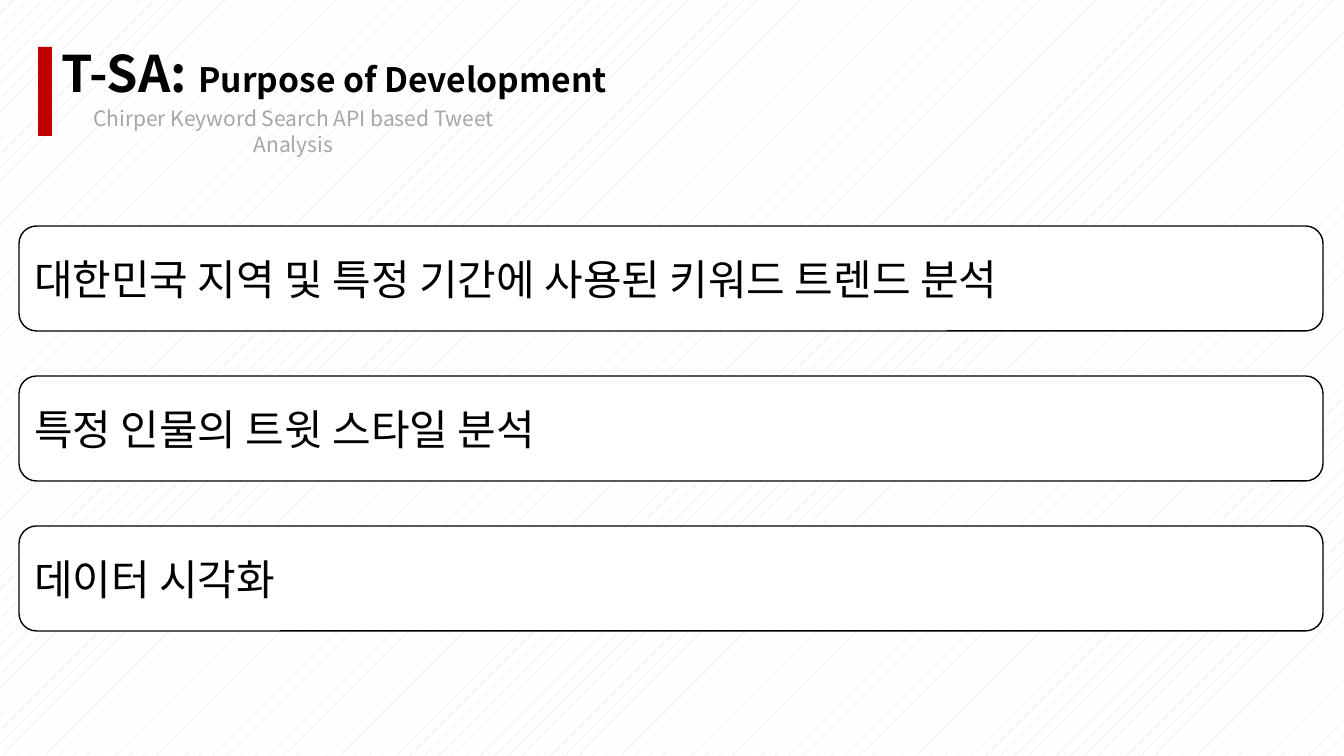
from lxml.etree import SubElement
from pptx import Presentation
from pptx.dml.color import RGBColor
from pptx.enum.dml import MSO_PATTERN as Pattern
from pptx.enum.shapes import MSO_SHAPE as Shape
from pptx.enum.text import MSO_ANCHOR as Anchor, PP_ALIGN as Align
from pptx.oxml.ns import qn
from pptx.util import Pt

EMU_PER_PX = 12192000 / 1344


def px(*lengths):
    return [round(length * EMU_PER_PX) for length in lengths]


class PurposeSlide:
    font = "Noto Sans CJK KR"
    colours = {
        "ink": "000000",
        "paper": "FFFFFF",
        "hatch": "E3D9D7",
        "accent": "C00000",
        "muted": "A6A6A6",
    }

    def __init__(self, deck):
        self.page = deck.slides.add_slide(deck.slide_layouts[6])

    def colour(self, name):
        return RGBColor.from_string(self.colours[name])

    def background(self):
        fill = self.page.background.fill
        fill.patterned()
        fill.pattern = Pattern.PERCENT_5
        fill.fore_color.rgb = self.colour("hatch")
        fill.back_color.rgb = self.colour("paper")

    def add_span(self, para, text, size, colour="ink", bold=False):
        span = para.add_run()
        span.text = text
        formats = {"name": self.font, "size": Pt(size), "bold": bold}
        for name, value in formats.items():
            setattr(span.font, name, value)
        span.font.color.rgb = self.colour(colour)
        properties = span.font._element
        SubElement(properties, qn("a:ea"), typeface=self.font)

    def text(self, area, spans, align=Align.LEFT):
        box = self.page.shapes.add_textbox(*px(*area))
        box.text_frame.word_wrap = True
        para = box.text_frame.paragraphs[0]
        para.alignment = align
        for span in spans:
            self.add_span(para, **span)

    def shape(self, kind, area, fill, line=None):
        box = self.page.shapes.add_shape(kind, *px(*area))
        box.shadow.inherit = False
        box.fill.solid()
        box.fill.fore_color.rgb = self.colour(fill)
        if line:
            box.line.color.rgb = self.colour(line)
            box.line.width = Pt(1)
        else:
            box.line.fill.background()
        return box

    def card(self, area, text):
        box = self.shape(Shape.ROUNDED_RECTANGLE, area, "paper", "ink")
        frame = box.text_frame
        formats = {"word_wrap": True, "vertical_anchor": Anchor.MIDDLE}
        for name, value in formats.items():
            setattr(frame, name, value)
        para = frame.paragraphs[0]
        para.alignment = Align.LEFT
        self.add_span(para, text, 30)


def main():
    deck = Presentation()
    deck.slide_width, deck.slide_height = px(1344, 756)
    slide = PurposeSlide(deck)
    slide.background()
    slide.shape(Shape.RECTANGLE, (38, 47, 14, 89), "accent")
    slide.text((52, 37, 775, 119), [
        {"text": "T-SA: ", "size": 36, "bold": True},
        {"text": "Purpose of Development", "size": 24, "bold": True},
    ])
    slide.text((52, 101, 483, 35), [
        {"text": "Chirper Keyword Search API based Tweet Analysis",
         "size": 15, "colour": "muted"},
    ], Align.CENTER)
    purposes = [
        "대한민국 지역 및 특정 기간에 사용된 키워드 트렌드 분석",
        "특정 인물의 트윗 스타일 분석",
        "데이터 시각화",
    ]
    for row, purpose in enumerate(purposes):
        slide.card((19, 226 + 150 * row, 1304, 105), purpose)
    deck.save("out.pptx")


if __name__ == "__main__":
    main()
